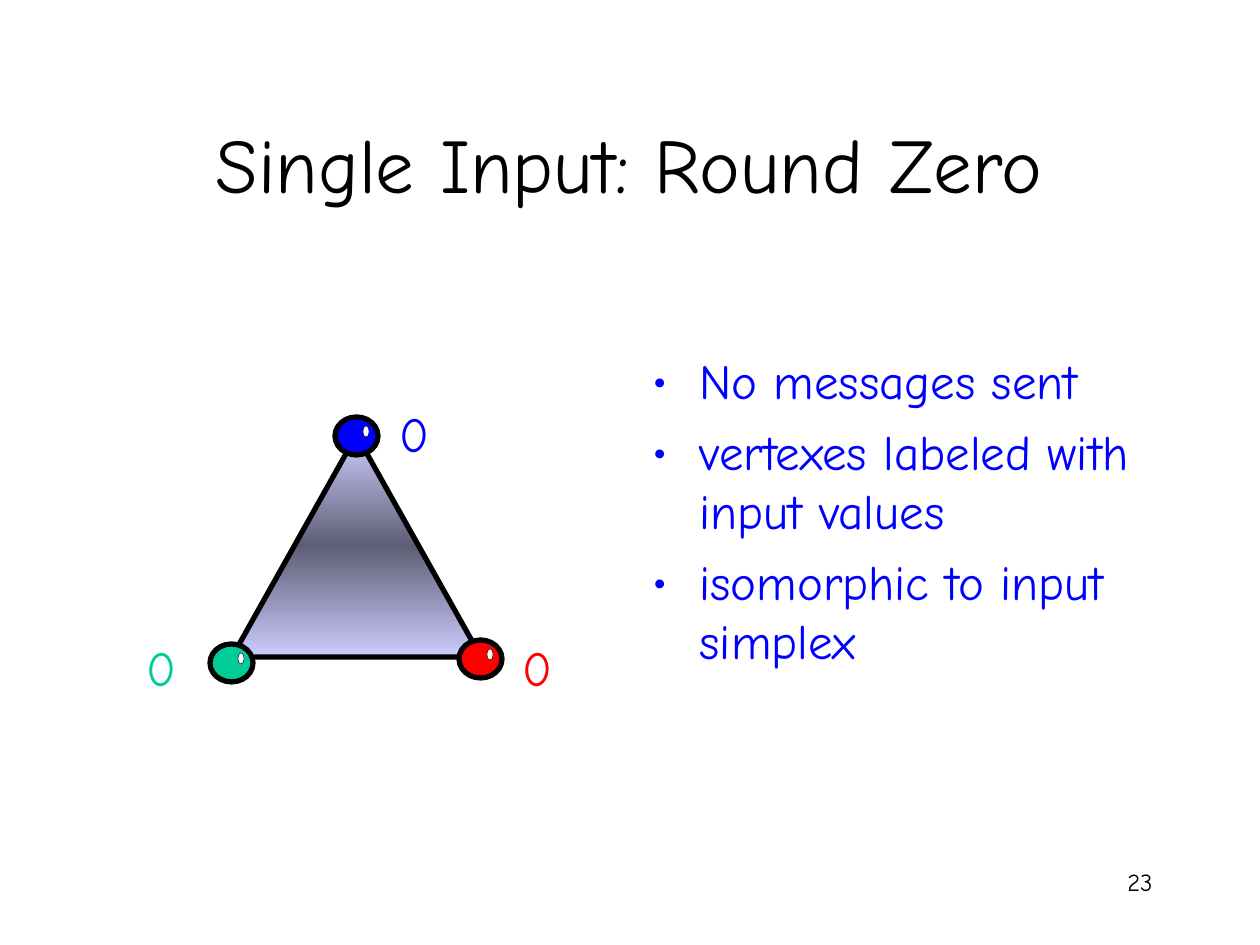
from dataclasses import dataclass

import lxml.etree
import pptx
import pptx.dml.color
import pptx.enum.shapes
import pptx.enum.text
import pptx.oxml.ns
import pptx.util

EMU_PER_PX = 914400 / 126
ALIGN = pptx.enum.text.PP_ALIGN
ANCHOR = pptx.enum.text.MSO_ANCHOR
FIT = pptx.enum.text.MSO_AUTO_SIZE
SHAPE = pptx.enum.shapes.MSO_SHAPE
qn = pptx.oxml.ns.qn


@dataclass(frozen=True)
class Theme:
    font: str = "Comic Neue"
    black: str = "000000"
    white: str = "FFFFFF"
    blue: str = "0000FF"
    red: str = "FF0000"
    green: str = "00CC99"
    face_light: str = "CCCCFF"
    face_dark: str = "5E5E75"
    title_size: int = 44
    text_size: int = 28
    number_size: int = 14
    outline: float = 3
    hairline: float = 0.25


@dataclass(frozen=True)
class Box:
    left: int
    top: int
    width: int
    height: int

    def emu(self) -> list[int]:
        return [px(n) for n in (self.left, self.top, self.width, self.height)]


@dataclass(frozen=True)
class Vertex:
    left: int
    top: int
    label_left: int
    label_top: int
    value: str
    color: str


THEME = Theme()
VERTICES = [
    Vertex(335, 417, 387, 397, "0", THEME.blue),
    Vertex(459, 640, 510, 631, "0", THEME.red),
    Vertex(210, 644, 134, 631, "0", THEME.green),
]
POINTS = [
    "No messages sent",
    "vertexes labeled with input values",
    "isomorphic to input simplex",
]


def px(length: int) -> int:
    return round(length * EMU_PER_PX)


def rgb(color: str) -> pptx.dml.color.RGBColor:
    return pptx.dml.color.RGBColor.from_string(color)


def place(holder, box: Box) -> None:
    holder.left, holder.top, holder.width, holder.height = box.emu()


def write(holder, text: str, size: int, color: str, align, anchor) -> None:
    frame = holder.text_frame
    frame.text = text
    frame.word_wrap = True
    frame.auto_size = FIT.NONE
    frame.vertical_anchor = anchor
    for paragraph in frame.paragraphs:
        paragraph.alignment = align
        for run in paragraph.runs:
            run.font.name = THEME.font
            run.font.size = pptx.util.Pt(size)
            run.font.color.rgb = rgb(color)


def add_outlined(parent, kind, box: Box, color: str, line_width: float):
    outlined = parent.shapes.add_shape(kind, *box.emu())
    outlined.shadow.inherit = False
    outlined.fill.solid()
    outlined.fill.fore_color.rgb = rgb(color)
    outlined.line.color.rgb = rgb(THEME.black)
    outlined.line.width = pptx.util.Pt(line_width)
    return outlined


def shade_face(face) -> None:
    """Fill with a vertical gradient that is dark halfway down."""
    face.fill.gradient()
    face.fill.gradient_angle = 270
    stops = face.element.spPr.find(".//" + qn("a:gsLst"))
    for stop in list(stops):
        stops.remove(stop)
    for percent, color in ((0, THEME.face_light), (50, THEME.face_dark), (100, THEME.face_light)):
        stop = lxml.etree.SubElement(stops, qn("a:gs"), pos=str(percent * 1000))
        lxml.etree.SubElement(stop, qn("a:srgbClr"), val=color)


def add_bullet(paragraph) -> None:
    paragraph.space_before = pptx.util.Pt(7)
    properties = paragraph._p.get_or_add_pPr()
    properties.set("marL", str(px(47)))
    properties.set("indent", str(-px(47)))
    bullet_color = lxml.etree.SubElement(properties, qn("a:buClr"))
    lxml.etree.SubElement(bullet_color, qn("a:srgbClr"), val=THEME.blue)
    lxml.etree.SubElement(properties, qn("a:buFont"), typeface=THEME.font)
    lxml.etree.SubElement(properties, qn("a:buChar"), char="•")


def add_vertex(simplex, vertex: Vertex) -> None:
    ball = Box(vertex.left, vertex.top, 43, 38)
    glint = Box(vertex.left + 28, vertex.top + 9, 6, 11)
    add_outlined(simplex, SHAPE.OVAL, ball, vertex.color, THEME.outline)
    add_outlined(simplex, SHAPE.OVAL, glint, THEME.white, THEME.hairline)


def add_value(slide, vertex: Vertex) -> None:
    box = Box(vertex.label_left, vertex.label_top, 55, 72)
    value = slide.shapes.add_textbox(*box.emu())
    write(value, vertex.value, THEME.text_size, vertex.color, ALIGN.CENTER, ANCHOR.MIDDLE)
    value.text_frame.word_wrap = False


def main() -> None:
    deck = pptx.Presentation()
    deck.slide_width, deck.slide_height = px(1260), px(945)
    slide = deck.slides.add_slide(deck.slide_layouts[1])

    # Title
    title = slide.shapes.title
    place(title, Box(94, 84, 1071, 158))
    write(title, "Single Input: Round Zero", THEME.title_size, THEME.black,
          ALIGN.CENTER, ANCHOR.MIDDLE)

    # Simplex: shaded face, then its vertexes
    simplex = slide.shapes.add_group_shape()
    face = add_outlined(simplex, SHAPE.ISOSCELES_TRIANGLE, Box(232, 435, 249, 222),
                        THEME.face_light, THEME.outline)
    shade_face(face)
    for vertex in VERTICES:
        add_vertex(simplex, vertex)

    # Bullet points
    points = slide.placeholders[1]
    place(points, Box(640, 344, 525, 496))
    write(points, "\n".join(POINTS), THEME.text_size, THEME.blue, ALIGN.LEFT, ANCHOR.TOP)
    for paragraph in points.text_frame.paragraphs:
        add_bullet(paragraph)

    # Input values beside the vertexes
    for vertex in VERTICES:
        add_value(slide, vertex)

    # Slide number
    number = slide.shapes.add_textbox(*Box(903, 861, 262, 63).emu())
    write(number, "23", THEME.number_size, THEME.black, ALIGN.RIGHT, ANCHOR.TOP)

    deck.save("out.pptx")


if __name__ == "__main__":
    main()
